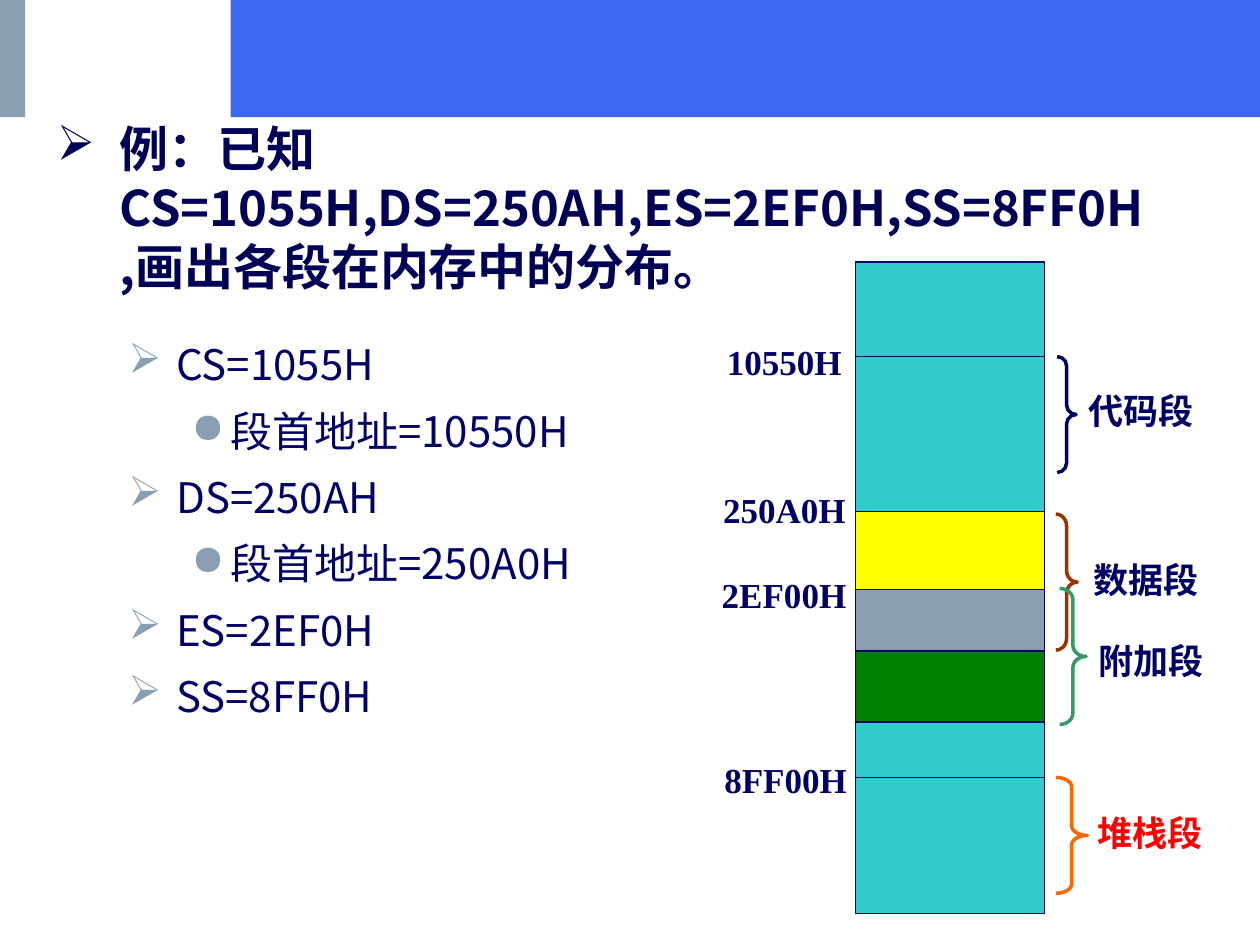
from lxml import etree
from pptx import Presentation
from pptx import util as u
from pptx.dml.color import RGBColor
from pptx.enum import shapes, text
from pptx.oxml import ns

NAVY = RGBColor(0x00, 0x00, 0x66)
TITLE_NAVY = RGBColor(0x00, 0x00, 0x56)
BLUE = RGBColor(0x3C, 0x68, 0xF4)
SLATE = RGBColor(0x8A, 0x9E, 0xB2)
TEAL = RGBColor(0x33, 0xCC, 0xCC)
YELLOW = RGBColor(0xFF, 0xFF, 0x00)
GREEN = RGBColor(0x00, 0x80, 0x00)
RED = RGBColor(0xFF, 0x00, 0x00)
BROWN = RGBColor(0x99, 0x33, 0x00)
SEA_GREEN = RGBColor(0x33, 0x99, 0x66)
ORANGE = RGBColor(0xFF, 0x66, 0x00)

SANS = "Noto Sans CJK SC"
SERIF = "Times New Roman"
MEMORY_LEFT, MEMORY_WIDTH = 6.79, 1.5


class SlideBuilder:
    def __init__(self, page):
        self.page = page

    def rect(self, left, top, width, height, fill, line=None):
        box = self.page.shapes.add_shape(
            shapes.MSO_SHAPE.RECTANGLE,
            *map(u.Inches, (left, top, width, height)))
        box.shadow.inherit = False
        box.fill.solid()
        box.fill.fore_color.rgb = fill
        if line is None:
            box.line.fill.background()
        else:
            box.line.color.rgb = line
            box.line.width = u.Pt(1)

    def memory_block(self, top, height, fill):
        self.rect(MEMORY_LEFT, top, MEMORY_WIDTH, height, fill, NAVY)

    def memory_border(self, top):
        """Draw a line across the memory column."""
        line = self.page.shapes.add_connector(
            shapes.MSO_CONNECTOR.STRAIGHT, u.Inches(MEMORY_LEFT), u.Inches(top),
            u.Inches(MEMORY_LEFT + MEMORY_WIDTH), u.Inches(top))
        line.line.color.rgb = NAVY
        line.line.width = u.Pt(1)
        etree.SubElement(line._element.spPr, ns.qn("a:effectLst"))

    def brace(self, left, top, width, height, curve, color):
        brace = self.page.shapes.add_shape(
            shapes.MSO_SHAPE.RIGHT_BRACE,
            *map(u.Inches, (left, top, width, height)))
        brace.shadow.inherit = False
        brace.adjustments[0] = curve
        brace.fill.background()
        brace.line.color.rgb = color
        brace.line.width = u.Pt(2)

    def text_box(self, left, top, width, height):
        box = self.page.shapes.add_textbox(
            *map(u.Inches, (left, top, width, height)))
        box.text_frame.word_wrap = True
        return box.text_frame

    def set_text(self, para, words, size, font, color, bold=False):
        para.text = words
        para.font.size = u.Pt(size)
        para.font.name = font
        para.font.bold = bold
        para.font.color.rgb = color
        for props in para._p.iter(ns.qn("a:defRPr")):
            east = etree.SubElement(props, ns.qn("a:ea"))
            east.set("typeface", SANS)

    def bullet(self, para, mark, color, margin, hang):
        props = para._p.get_or_add_pPr()
        props.set("marL", str(u.Inches(margin)))
        props.set("indent", str(-u.Inches(hang)))
        bullet_color = etree.Element(ns.qn("a:buClr"))
        etree.SubElement(bullet_color, ns.qn("a:srgbClr")).set("val", str(color))
        char = etree.Element(ns.qn("a:buChar"))
        char.set("char", mark)
        defaults = props.find(ns.qn("a:defRPr"))
        defaults.addprevious(bullet_color)
        defaults.addprevious(char)

    def label(self, left, top, width, words, color=NAVY):
        frame = self.text_box(left, top, width, 0.43)
        self.set_text(frame.paragraphs[0], words, 20, SERIF, color, bold=True)

    def title(self, words):
        frame = self.text_box(0.35, 1.07, 9.65, 1.6)
        frame.vertical_anchor = text.MSO_ANCHOR.MIDDLE
        frame.margin_bottom = u.Inches(0.5)
        para = frame.paragraphs[0]
        self.set_text(para, words, 28, SANS, TITLE_NAVY, bold=True)
        self.bullet(para, "➢", TITLE_NAVY, 0.5, 0.5)

    def outline(self, items):
        frame = self.text_box(0.92, 2.58, 4.1, 4.5)
        for index, (level, words) in enumerate(items):
            para = frame.add_paragraph() if index else frame.paragraphs[0]
            self.set_text(para, words, 24, SANS, NAVY)
            para.level = level
            para.line_spacing = 1.15
            para.space_before = u.Pt(4.8)
            mark, margin, hang = (("➢", 0.38, 0.38), ("●", 0.81, 0.31))[level]
            self.bullet(para, mark, SLATE, margin, hang)


def main():
    deck = Presentation()
    deck.slide_width, deck.slide_height = u.Inches(10), u.Inches(7.5)
    slide = SlideBuilder(deck.slides.add_slide(deck.slide_layouts[6]))

    slide.rect(1.83, 0, 8.17, 0.93, BLUE)
    slide.rect(0, 0, 0.2, 0.93, SLATE)
    slide.title("例：已知 CS=1055H,DS=250AH,ES=2EF0H,SS=8FF0H\v,画出各段在内存中的分布。")
    slide.outline([
        (0, "CS=1055H"), (1, "段首地址=10550H"),
        (0, "DS=250AH"), (1, "段首地址=250A0H"),
        (0, "ES=2EF0H"), (0, "SS=8FF0H"),
    ])

    for top, height, fill in [
        (2.08, 5.17, TEAL), (4.68, 1.05, GREEN),
        (4.67, 0.5, SLATE), (4.06, 0.62, YELLOW),
    ]:
        slide.memory_block(top, height, fill)
    for top in (2.83, 6.17):
        slide.memory_border(top)

    for left, top, width, address in [
        (5.67, 2.65, 1.17, "10550H"), (5.64, 3.83, 1.28, "250A0H"),
        (5.63, 4.5, 1.24, "2EF00H"), (5.65, 5.97, 1.2, "8FF00H"),
    ]:
        slide.label(left, top, width, address)

    for left, top, width, height, curve, color in [
        (8.39, 2.83, 0.15, 0.92, 0.5, NAVY),
        (8.38, 4.08, 0.17, 1.08, 0.54, BROWN),
        (8.41, 4.67, 0.21, 1.08, 0.42, SEA_GREEN),
        (8.38, 6.17, 0.25, 0.92, 0.3, ORANGE),
    ]:
        slide.brace(left, top, width, height, curve, color)
    for left, top, width, segment, color in [
        (8.54, 3.04, 1.1, "代码段", NAVY), (8.58, 4.38, 1.14, "数据段", NAVY),
        (8.62, 5.03, 1.1, "附加段", NAVY), (8.61, 6.39, 1.23, "堆栈段", RED),
    ]:
        slide.label(left, top, width, segment, color)

    deck.save("out.pptx")


if __name__ == "__main__":
    main()
